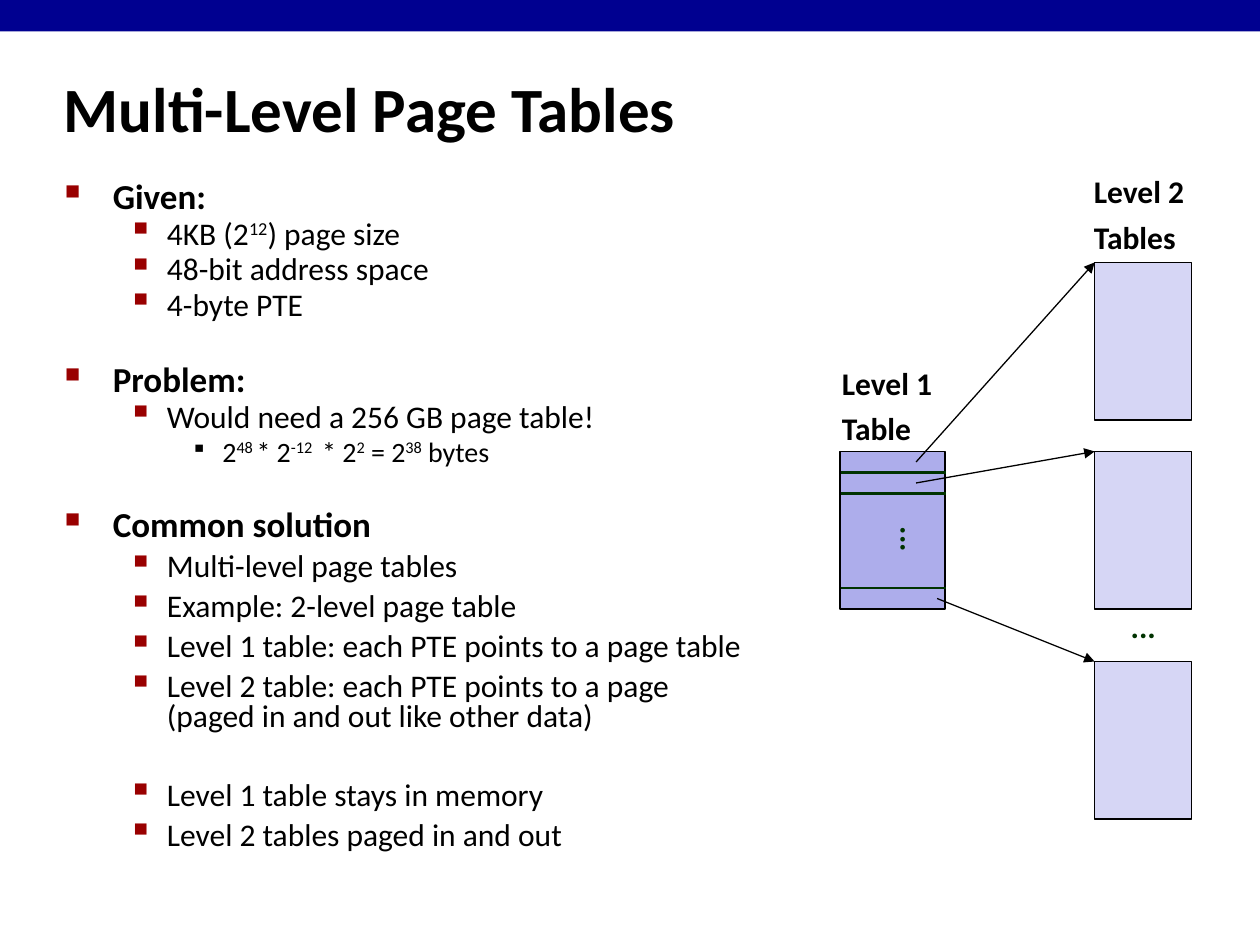
from lxml import etree
from pptx import Presentation
from pptx.dml.color import RGBColor
from pptx.enum.shapes import MSO_CONNECTOR, MSO_SHAPE
from pptx.enum.text import MSO_ANCHOR, MSO_AUTO_SIZE
from pptx.oxml.ns import qn
from pptx.util import Inches, Pt

STRAIGHT = MSO_CONNECTOR.STRAIGHT
RECTANGLE = MSO_SHAPE.RECTANGLE
MIDDLE = MSO_ANCHOR.MIDDLE
FIT_SHAPE = MSO_AUTO_SIZE.SHAPE_TO_FIT_TEXT

COLORS = {
    "bar": "000090", "text": "000000", "bullet": "990000", "entry": "003300",
    "level 1": "ADADEB", "level 2": "D6D6F5",
}
COLORS = {name: RGBColor.from_string(value) for name, value in COLORS.items()}

presentation = Presentation()
presentation.slide_width, presentation.slide_height = Inches(10), Inches(7.5)
slide = presentation.slides.add_slide(presentation.slide_layouts[6])
cell = presentation.slide_width // 120


def grid(*lengths):
    return [round(length * cell) for length in lengths]


def write(paragraph, text, size, bold, color="text"):
    for index, part in enumerate(text.split("^")):
        run = paragraph.add_run()
        run.text = part
        font_format = {"name": "Calibri", "size": Pt(size), "bold": bold}
        for attribute, value in font_format.items():
            setattr(run.font, attribute, value)
        run.font.color.rgb = COLORS[color]
        if index % 2:
            run.font._element.set("baseline", "30000")


bar = slide.shapes.add_shape(RECTANGLE, *grid(0, 0, 120, 3))
bar.shadow.inherit = False
bar.fill.solid()
bar.fill.fore_color.rgb = COLORS["bar"]
bar.line.fill.background()

title = slide.shapes.add_textbox(*grid(4.9, 6.5, 90, 7.5)).text_frame
title.word_wrap = True
title.vertical_anchor = MIDDLE
write(title.paragraphs[0], "Multi-Level Page Tables", 36, True)

LEVELS = [
    {"size": 20, "spacing": 0.73, "margin": 0.38, "hang": 0.38, "bullet": "■", "percent": 60, "color": "bullet"},
    {"size": 18, "spacing": 0.78, "margin": 0.81, "hang": 0.31, "bullet": "▪", "percent": 110, "color": "bullet"},
    {"size": 16, "spacing": 0.84, "margin": 1.25, "hang": 0.25, "bullet": "▪", "percent": 80, "color": "text"},
]
OUTLINE = [
    (0, 4, "Given:"),
    (1, 3.6, "4KB (2^12^) page size"),
    (1, 3.6, "48-bit address space"),
    (1, 3.6, "4-byte PTE"),
    (0, 25.8, "Problem:"),
    (1, 3.6, "Would need a 256 GB page table!"),
    (2, 3.2, "2^48 ^* 2^-12 ^ * 2^2^ = 2^38^ bytes"),
    (0, 25.8, "Common solution"),
    (1, 6, "Multi-level page tables"),
    (1, 6, "Example: 2-level page table"),
    (1, 6, "Level 1 table: each PTE points to a page table"),
    (1, 6, "Level 2 table: each PTE points to a page \n(paged in and out like other data)"),
    (1, 28.4, "Level 1 table stays in memory"),
    (1, 6, "Level 2 tables paged in and out"),
]
body = slide.shapes.add_textbox(*grid(5, 17, 74, 68)).text_frame
body.word_wrap = True
for index, (depth, gap, text) in enumerate(OUTLINE):
    level = LEVELS[depth]
    paragraph = body.add_paragraph() if index else body.paragraphs[0]
    paragraph_format = {"level": depth, "line_spacing": level["spacing"], "space_before": Pt(gap)}
    for attribute, value in paragraph_format.items():
        setattr(paragraph, attribute, value)
    properties = paragraph._p.get_or_add_pPr()
    properties.set("marL", str(Inches(level["margin"])))
    properties.set("indent", str(-Inches(level["hang"])))
    bullet_color = etree.SubElement(properties, qn("a:buClr"))
    etree.SubElement(bullet_color, qn("a:srgbClr"), val=str(COLORS[level["color"]]))
    etree.SubElement(properties, qn("a:buSzPct"), val=str(level["percent"] * 1000))
    etree.SubElement(properties, qn("a:buChar"), char=level["bullet"])
    for line_index, line in enumerate(text.split("\n")):
        if line_index:
            paragraph.add_line_break()
        write(paragraph, line, level["size"], depth == 0)

level_1_left, level_1_top, level_1_width = 80, 43, 10
level_2_left, level_2_width = 104.25, 9.25
level_2_tops = [25, 43, 63]
table_height, entry_height = 15, 2
tables = [(level_1_left, level_1_top, level_1_width, "level 1")]
tables += [(level_2_left, top, level_2_width, "level 2") for top in level_2_tops]
for left, top, width, color in tables:
    table = slide.shapes.add_shape(RECTANGLE, *grid(left, top, width, table_height))
    table.shadow.inherit = False
    table.fill.solid()
    table.fill.fore_color.rgb = COLORS[color]
    table.line.color.rgb = COLORS["text"]
    table.line.width = Pt(0.75)

LABELS = [
    (79, 34.5, 11, 8.75, ["Level 1", "Table"], "text", False),
    (103, 16.3, 11, 8.75, ["Level 2", "Tables"], "text", False),
    (106.5, 57.7, 4.8, 4.3, ["..."], "entry", False),
    (83.3, 49, 5.6, 3.6, ["..."], "entry", True),
]
for left, top, width, height, lines, color, vertical in LABELS:
    label = slide.shapes.add_textbox(*grid(left, top, width, height)).text_frame
    label.word_wrap = False
    label.auto_size = FIT_SHAPE
    for index, line in enumerate(lines):
        paragraph = label.add_paragraph() if index else label.paragraphs[0]
        paragraph.line_spacing = 0.88
        paragraph.space_before = Pt(6.8)
        write(paragraph, line, 18, True, color)
        if vertical:
            label._txBody.bodyPr.set("vert", "eaVert")
            paragraph._p.get_or_add_pPr().set("rtl", "1")

first_entry = level_1_top + entry_height / 2
last_entry = level_1_top + table_height - entry_height / 2
arrow_starts = [(87.25, first_entry), (87.25, first_entry + entry_height), (89.25, last_entry)]
lines = [
    (x, y, level_2_left, top, "text", 0.75, True)
    for (x, y), top in zip(arrow_starts, level_2_tops)
]
lines += [
    (level_1_left + 0.1, level_1_top + offset, level_1_left + level_1_width + 0.1,
     level_1_top + offset, "entry", 1.5, False)
    for offset in (entry_height, 2 * entry_height, table_height - entry_height)
]
for start_x, start_y, end_x, end_y, color, weight, arrow in lines:
    connector = slide.shapes.add_connector(STRAIGHT, *grid(start_x, start_y, end_x, end_y))
    connector.line.color.rgb = COLORS[color]
    connector.line.width = Pt(weight)
    if arrow:
        etree.SubElement(connector.line._get_or_add_ln(), qn("a:tailEnd"), type="triangle")
    etree.SubElement(connector._element.spPr, qn("a:effectLst"))

presentation.save("out.pptx")
